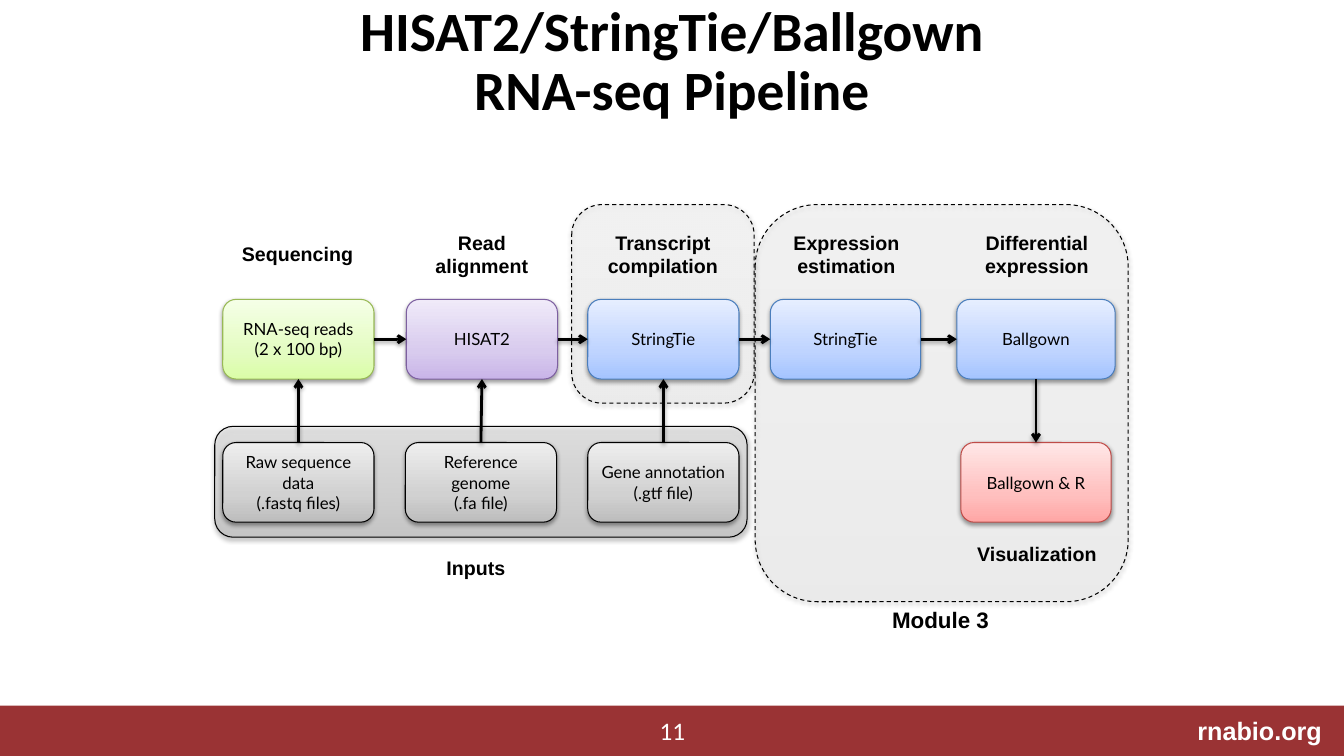
from dataclasses import dataclass

from pptx import Presentation
from pptx.dml.color import RGBColor
from pptx.enum.dml import MSO_LINE
from pptx.enum.shapes import MSO_CONNECTOR, MSO_SHAPE
from pptx.enum.text import MSO_ANCHOR, MSO_AUTO_SIZE, PP_ALIGN
from pptx.oxml import parse_xml
from pptx.oxml.ns import nsdecls
from pptx.shapes.autoshape import Shape
from pptx.slide import Slide
from pptx.text.text import TextFrame
from pptx.util import Emu, Pt

PX = 9144  # EMU per px, 100 px to the inch
LEFT, MID, RIGHT = PP_ALIGN.LEFT, PP_ALIGN.CENTER, PP_ALIGN.RIGHT
MIDDLE, TOP = MSO_ANCHOR.MIDDLE, MSO_ANCHOR.TOP
RECT, ROUND = MSO_SHAPE.RECTANGLE, MSO_SHAPE.ROUNDED_RECTANGLE
STRAIGHT, DASH = MSO_CONNECTOR.STRAIGHT, MSO_LINE.DASH
NO_FIT = MSO_AUTO_SIZE.NONE
NORTH, WEST, SOUTH, EAST = range(4)


@dataclass(frozen=True)
class Tint:
    low: str
    mid: str
    high: str
    edge: str


@dataclass(frozen=True)
class Font:
    face: str
    size: float
    bold: bool = False
    color: str = "000000"


@dataclass(frozen=True)
class Theme:
    ink: str = "000000"
    bar: str = "9A3334"
    green: Tint = Tint("DAFDA7", "E4FCC2", "F5FFE7", "98B955")
    violet: Tint = Tint("C9B5E8", "D8CBEE", "F0EAF9", "7D60A0")
    blue: Tint = Tint("A4C4FF", "BFD4FF", "E6EEFF", "4B7EBC")
    red: Tint = Tint("FFA6A5", "FFC0BF", "FFE7E7", "BF4C48")
    gray: Tint = Tint("BDBDBD", "D1D1D1", "EEEEEE", "000000")
    title: Font = Font("Calibri", 39.6, True)
    box: Font = Font("Lato", 12)
    label: Font = Font("Arial", 14, True)
    module: Font = Font("Arial", 16, True)
    site: Font = Font("Arial", 18, True, "FFFFFF")
    page: Font = Font("Calibri", 18, False, "FFFFFF")


THEME = Theme()


@dataclass(frozen=True)
class Box:
    x: int
    y: int
    w: int
    h: int
    tint: Tint
    lines: tuple[str, ...] = ()
    alpha: int = 100
    dash: bool = False


@dataclass(frozen=True)
class Label:
    x: int
    y: int
    w: int
    h: int
    text: str
    font: Font = THEME.label
    align: PP_ALIGN = MID
    wrap: bool = True
    anchor: MSO_ANCHOR = TOP


HEAD_Y, FEED_Y, BOX_H = 297, 439, 79

# Shaded zones behind the steps
ZONES = [
    Box(567, 203, 181, 197, THEME.gray, alpha=13, dash=True),
    Box(749, 203, 370, 394, THEME.gray, alpha=13, dash=True),
    Box(213, 423, 528, 110, THEME.gray, alpha=51),
]

# Pipeline steps, their inputs and the final plot
HEADS = [
    Box(x, HEAD_Y, w, BOX_H, tint, (text,))
    for x, w, tint, text in [
        (221, 150, THEME.green, "RNA-seq reads (2 x 100 bp)"),
        (403, 150, THEME.violet, "HISAT2"),
        (583, 150, THEME.blue, "StringTie"),
        (764, 149, THEME.blue, "StringTie"),
        (949, 157, THEME.blue, "Ballgown"),
    ]
]
FEEDS = [
    Box(221 + 181 * i, FEED_Y, 150, BOX_H, THEME.gray, lines)
    for i, lines in enumerate([
        ("Raw sequence data", "(.fastq files)"),
        ("Reference genome", "(.fa file)"),
        ("Gene annotation", "(.gtf file)"),
    ])
]
PLOT = Box(953, FEED_Y, 149, BOX_H, THEME.red, ("Ballgown & R",))

LABELS = [
    Label(230, 235, 131, 34, "Sequencing", align=LEFT, wrap=False),
    Label(410, 224, 136, 57, "Read alignment"),
    Label(567, 224, 181, 57, "Transcript compilation"),
    Label(749, 224, 181, 57, "Expression estimation"),
    Label(938, 224, 181, 57, "Differential expression"),
    Label(938, 533, 181, 34, "Visualization"),
    Label(433, 547, 79, 34, "Inputs", align=LEFT, wrap=False),
    Label(875, 596, 117, 37, "Module 3", THEME.module, LEFT, False),
    Label(1063, 705, 258, 40, "rnabio.org", THEME.site, RIGHT),
    Label(642, 705, 50, 40, "11", THEME.page, MID, False, MIDDLE),
]


def place(*sizes: int) -> list[Emu]:
    return [Emu(size * PX) for size in sizes]


def write(frame: TextFrame, lines: tuple[str, ...], font: Font, align: PP_ALIGN) -> None:
    for i, line in enumerate(lines):
        para = frame.add_paragraph() if i else frame.paragraphs[0]
        para.alignment = align
        for j, part in enumerate(line.split("\n")):
            if j:
                para.add_line_break()
            run = para.add_run()
            run.text = part
            run.font.name, run.font.size = font.face, Pt(font.size)
            run.font.bold = font.bold
            run.font.color.rgb = RGBColor.from_string(font.color)


def shade(tint: Tint, alpha: int):
    stops = "".join(
        f'<a:gs pos="{pos}000"><a:srgbClr val="{color}">'
        f'<a:alpha val="{alpha}000"/></a:srgbClr></a:gs>'
        for pos, color in ((0, tint.low), (35, tint.mid), (100, tint.high))
    )
    return parse_xml(f'<a:gradFill {nsdecls("a")} rotWithShape="1"><a:gsLst>{stops}'
                     '</a:gsLst><a:lin ang="16200000" scaled="0"/></a:gradFill>')


def shadow():
    return parse_xml(f'<a:effectLst {nsdecls("a")}><a:outerShdw blurRad="40000" '
                     'dist="20000" dir="5400000" rotWithShape="0"><a:srgbClr '
                     f'val="{THEME.ink}"><a:alpha val="38000"/></a:srgbClr>'
                     '</a:outerShdw></a:effectLst>')


def draw_box(slide: Slide, box: Box) -> Shape:
    shape = slide.shapes.add_shape(ROUND, *place(box.x, box.y, box.w, box.h))
    props = shape._element.spPr
    props.append(shade(box.tint, box.alpha))
    shape.line.color.rgb = RGBColor.from_string(box.tint.edge)
    shape.line.width = Pt(0.75)
    if box.dash:
        shape.line.dash_style = DASH
    props.append(shadow())
    shape.text_frame.vertical_anchor = MIDDLE
    write(shape.text_frame, box.lines, THEME.box, MID)
    return shape


def draw_label(slide: Slide, label: Label) -> None:
    spot = place(label.x, label.y, label.w, label.h)
    frame = slide.shapes.add_textbox(*spot).text_frame
    frame.word_wrap = label.wrap
    frame.vertical_anchor = label.anchor
    write(frame, (label.text,), label.font, label.align)


def link(slide: Slide, start: Shape, out: int, end: Shape, into: int) -> None:
    arrow = slide.shapes.add_connector(STRAIGHT, 0, 0, 0, 0)
    arrow.begin_connect(start, out)
    arrow.end_connect(end, into)
    arrow.line.color.rgb = RGBColor.from_string(THEME.ink)
    arrow.line.width = Pt(2)
    arrow.line._get_or_add_ln().append(
        parse_xml(f'<a:tailEnd {nsdecls("a")} type="arrow"/>'))
    arrow._element.spPr.append(shadow())


def main() -> None:
    deck = Presentation()
    deck.slide_width, deck.slide_height = place(1333, 750)
    slide = deck.slides.add_slide(deck.slide_layouts[5])

    # Title
    title = slide.shapes.title
    title.left, title.top, title.width, title.height = place(183, 0, 967, 125)
    frame = title.text_frame
    frame.auto_size, frame.vertical_anchor = NO_FIT, MIDDLE
    write(frame, ("HISAT2/StringTie/Ballgown\nRNA-seq Pipeline",), THEME.title, MID)
    frame.paragraphs[0].line_spacing = 0.9

    # Footer bar
    bar = slide.shapes.add_shape(RECT, *place(0, 700, 1333, 50))
    bar.shadow.inherit = False
    bar.fill.solid()
    bar.fill.fore_color.rgb = RGBColor.from_string(THEME.bar)
    bar.line.fill.background()

    # Zones, boxes and labels
    for zone in ZONES:
        draw_box(slide, zone)
    heads = [draw_box(slide, box) for box in HEADS]
    feeds = [draw_box(slide, box) for box in FEEDS]
    plot = draw_box(slide, PLOT)
    for label in LABELS:
        draw_label(slide, label)

    # Arrows
    for start, end in zip(heads, heads[1:]):
        link(slide, start, EAST, end, WEST)
    for feed, head in zip(feeds, heads):
        link(slide, feed, NORTH, head, SOUTH)
    link(slide, heads[-1], SOUTH, plot, NORTH)

    deck.save("out.pptx")


if __name__ == "__main__":
    main()
